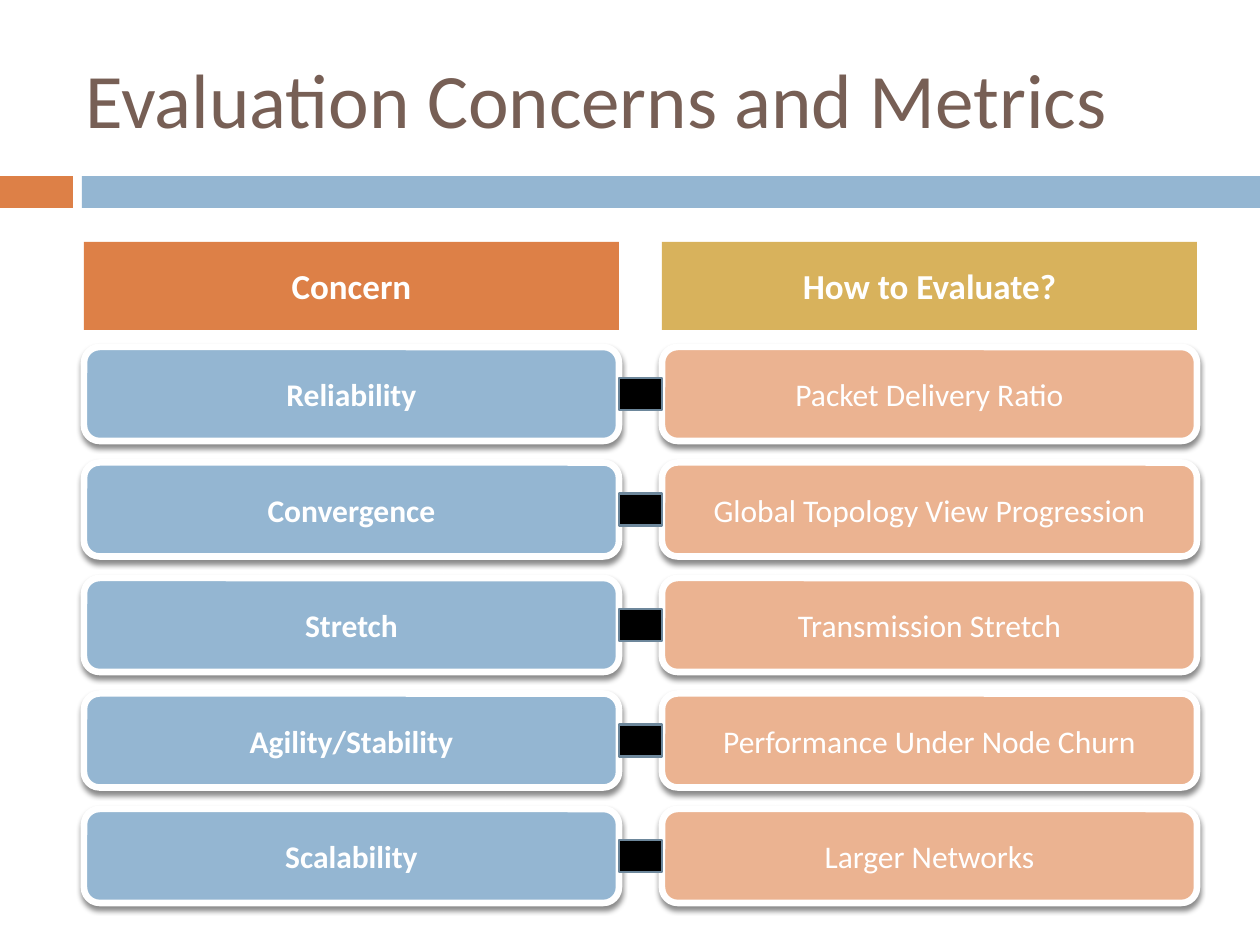
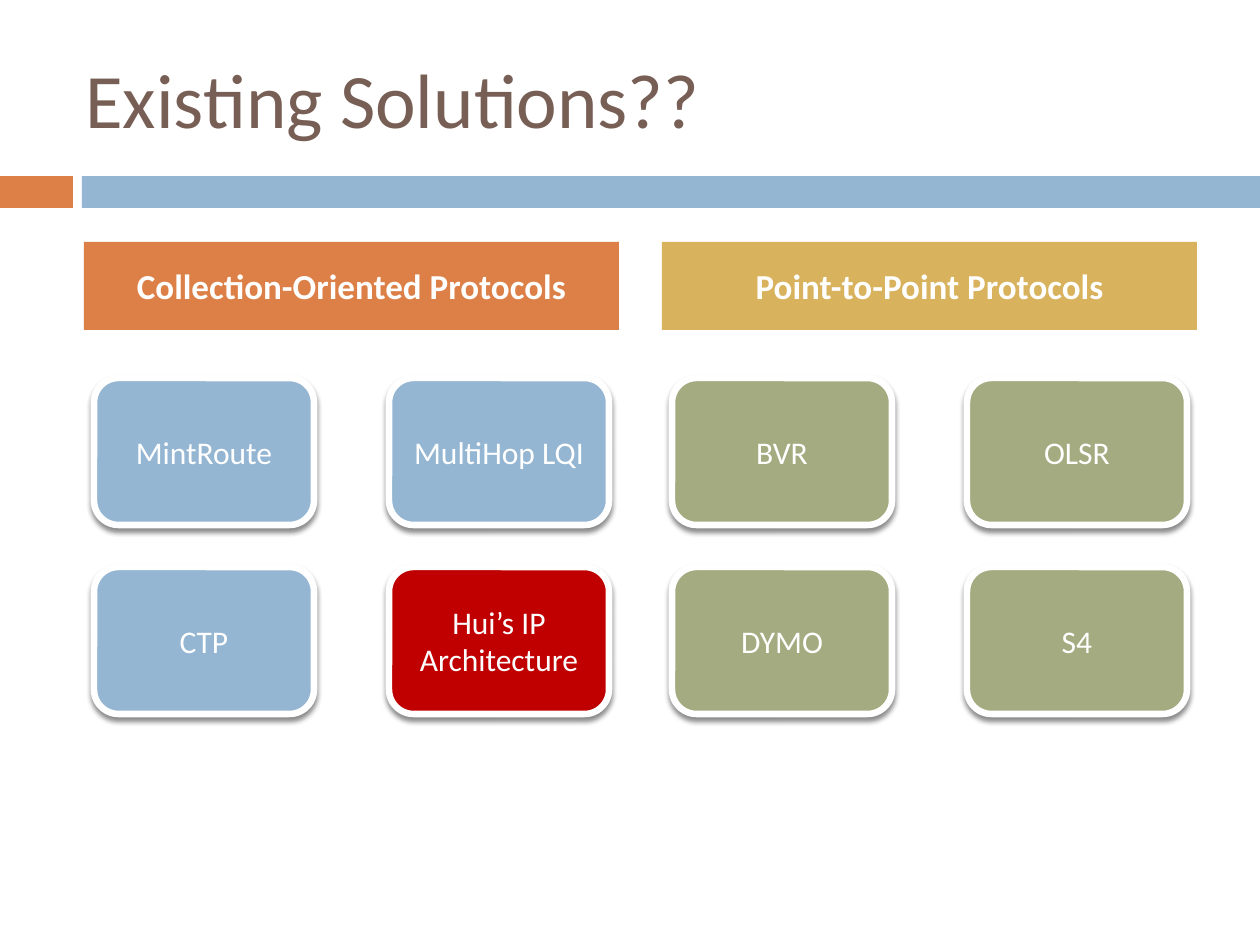
"""Build two slides: evaluation concerns with metrics, and existing protocols."""
from lxml.etree import SubElement as Sub
from pptx import Presentation
from pptx.dml.color import RGBColor as Rgb
from pptx.enum.shapes import MSO_SHAPE as Kind
from pptx.enum.text import MSO_ANCHOR as Anchor, PP_ALIGN as Align
from pptx.oxml.ns import qn
from pptx.util import Emu, Pt

ORANGE = Rgb(0xDD, 0x80, 0x47)
BLUE = Rgb(0x94, 0xB6, 0xD2)
GOLD = Rgb(0xD8, 0xB2, 0x5C)
PEACH = Rgb(0xEB, 0xB3, 0x91)
GREEN = Rgb(0xA5, 0xAB, 0x81)
RED = Rgb(0xC0, 0x00, 0x00)
BROWN = Rgb(0x77, 0x5F, 0x55)
SLATE = Rgb(0x6D, 0x87, 0x9B)
WHITE = Rgb(0xFF, 0xFF, 0xFF)
BLACK = Rgb(0x00, 0x00, 0x00)

TITLE = {"name": "Calibri", "size": Pt(44), "bold": False}
HEAD = {"name": "Calibri", "size": Pt(20), "bold": True}
STRONG = {"name": "Calibri", "size": Pt(18), "bold": True}
PLAIN = {"name": "Calibri", "size": Pt(18), "bold": False}

METRICS = {
    "title": "Evaluation Concerns and Metrics",
    "heads": ["Concern", "How to Evaluate?"],
    "rows": [
        ("Reliability", "Packet Delivery Ratio"),
        ("Convergence", "Global Topology View Progression"),
        ("Stretch", "Transmission Stretch"),
        ("Agility/Stability", "Performance Under Node Churn"),
        ("Scalability", "Larger Networks"),
    ],
}
SOLUTIONS = {
    "title": "Existing Solutions??",
    "heads": ["Collection-Oriented Protocols", "Point-to-Point Protocols"],
    "groups": [
        (BLUE, ["MintRoute", "MultiHop LQI", "CTP", "Hui’s IP Architecture"]),
        (GREEN, ["BVR", "OLSR", "DYMO", "S4"]),
    ],
    "marked": "Hui’s IP Architecture",
}

SCALE = 914400 / 126
COLS = (84, 662)
COL_W = 535
ROW_TOP, ROW_H, ROW_STEP = 347, 94, 115.5
LINK_H = 32
CARD_W, CARD_H, CARD_TOP, CARD_STEP, CARD_PAD = 220, 147, 378, 189, 10


def px(*nums):
    """Turn px lengths into EMU."""
    return [Emu(round(num * SCALE)) for num in nums]


def write(shape, text, style, color, align):
    """Set middle-anchored text in a shape."""
    frame = shape.text_frame
    frame.word_wrap = True
    frame.vertical_anchor = Anchor.MIDDLE
    para = frame.paragraphs[0]
    para.alignment = align
    run = para.add_run()
    run.text = text
    for key, value in style.items():
        setattr(run.font, key, value)
    run.font.color.rgb = color


def block(slide, box, fill, kind=Kind.RECTANGLE, line=None, width=0):
    """Add a filled shape without a shadow."""
    shape = slide.shapes.add_shape(kind, *px(*box))
    shape.shadow.inherit = False
    shape.fill.solid()
    shape.fill.fore_color.rgb = fill
    if line is None:
        shape.line.fill.background()
    else:
        shape.line.color.rgb = line
        shape.line.width = Pt(width)
    return shape


def card(slide, box, fill, text, style=PLAIN):
    """Add a rounded, white-edged card with a soft shadow below."""
    shape = block(slide, box, fill, Kind.ROUNDED_RECTANGLE, WHITE, 3.75)
    effects = shape._element.spPr.find(qn("a:effectLst"))
    shade = Sub(effects, qn("a:outerShdw"), blurRad="38100", dist="30000",
                dir="5400000", rotWithShape="0")
    tint = Sub(shade, qn("a:srgbClr"), val=str(BLACK))
    Sub(tint, qn("a:alpha"), val="45000")
    write(shape, text, style, WHITE, Align.CENTER)


def start(deck, data):
    """Add a slide with bands, title and two column heads."""
    slide = deck.slides.add_slide(deck.slide_layouts[6])
    block(slide, (0, 176, 73, 32), ORANGE)
    block(slide, (82, 176, 1178, 32), BLUE)
    title = slide.shapes.add_textbox(*px(73, 38, 1124, 120))
    write(title, data["title"], TITLE, BROWN, Align.LEFT)
    for left, fill, text in zip(COLS, (ORANGE, GOLD), data["heads"]):
        head = block(slide, (left, 242, COL_W, 88), fill)
        write(head, text, HEAD, WHITE, Align.CENTER)
    return slide


def add_metrics(deck, data):
    """Pair each concern with its metric."""
    slide = start(deck, data)
    edge = COLS[0] + COL_W
    looks = ((BLUE, STRONG), (PEACH, PLAIN))
    for i, row in enumerate(data["rows"]):
        top = ROW_TOP + i * ROW_STEP
        for left, (fill, style), text in zip(COLS, looks, row):
            card(slide, (left, top, COL_W, ROW_H), fill, text, style)
        link = (edge, top + (ROW_H - LINK_H) / 2, COLS[1] - edge, LINK_H)
        block(slide, link, BLACK, line=SLATE, width=1.5)


def add_solutions(deck, data):
    """Lay out each protocol group as a two by two grid."""
    slide = start(deck, data)
    step = COL_W - 2 * CARD_PAD - CARD_W
    for left, (color, names) in zip(COLS, data["groups"]):
        for i, name in enumerate(names):
            row, col = divmod(i, 2)
            box = (left + CARD_PAD + col * step, CARD_TOP + row * CARD_STEP,
                   CARD_W, CARD_H)
            card(slide, box, RED if name == data["marked"] else color, name)


def main():
    """Build and save the deck."""
    deck = Presentation()
    deck.slide_width, deck.slide_height = px(1260, 945)
    add_metrics(deck, METRICS)
    add_solutions(deck, SOLUTIONS)
    deck.save("out.pptx")


if __name__ == "__main__":
    main()
